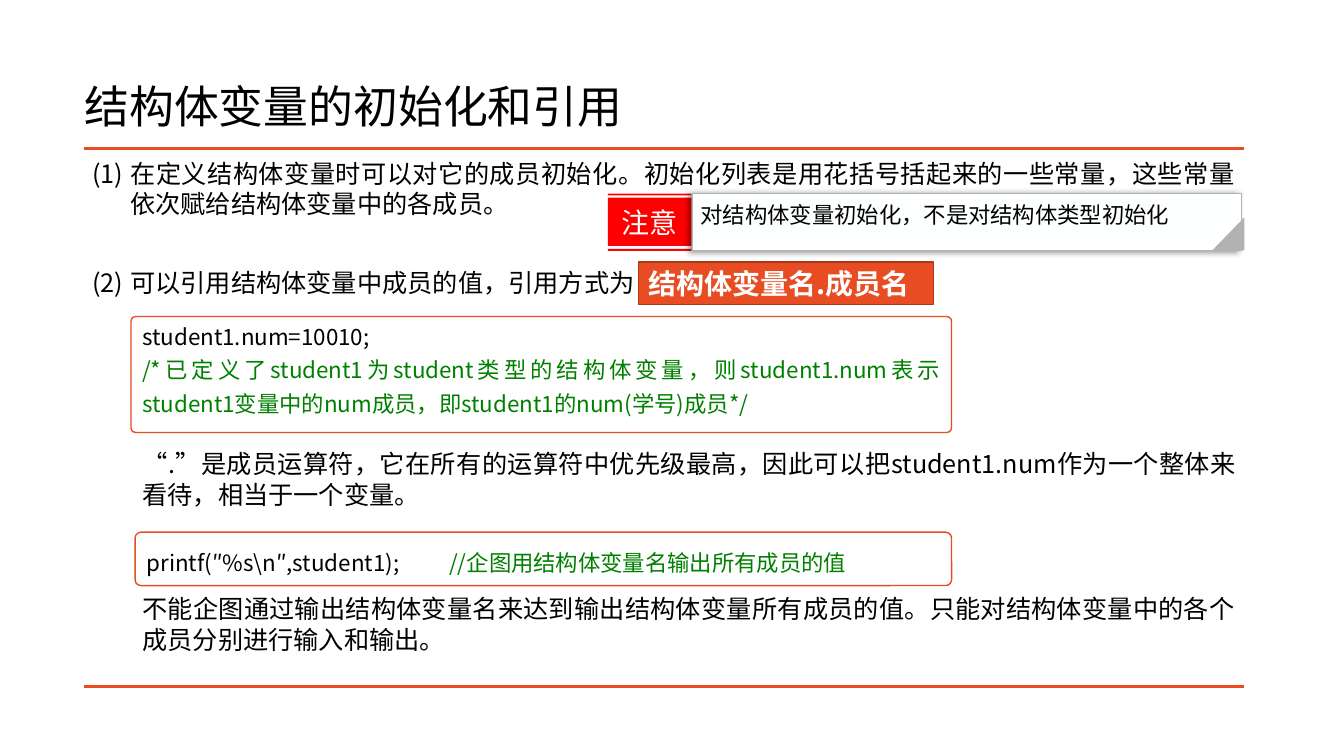
import pptx
import pptx.util
import pptx.dml.color
import pptx.enum.shapes
import pptx.enum.text
import pptx.oxml
import pptx.oxml.ns

FONT = "Noto Sans CJK SC"
BLACK, WHITE, ORANGE, GREEN, GRAY = "000000", "FFFFFF", "E84C22", "008000", "B2B2B2"
SHAPE = pptx.enum.shapes.MSO_SHAPE
ALIGN = pptx.enum.text.PP_ALIGN
ANCHOR = pptx.enum.text.MSO_ANCHOR
NS = pptx.oxml.ns.nsdecls("a")

deck = pptx.Presentation()
deck.slide_width = pptx.util.Inches(13.33)
deck.slide_height = pptx.util.Inches(7.5)
slide = deck.slides.add_slide(deck.slide_layouts[6])
col = deck.slide_width / 80
row = deck.slide_height / 45


def paint(shape, fill, line=None, width=1):
    shape.shadow.inherit = False
    shape.fill.solid()
    shape.fill.fore_color.rgb = pptx.dml.color.RGBColor.from_string(fill)
    if line:
        shape.line.color.rgb = pptx.dml.color.RGBColor.from_string(line)
        shape.line.width = pptx.util.Pt(width)
    else:
        shape.line.fill.background()


def write(shape, text, size=18, color=BLACK, bold=False, align=ALIGN.JUSTIFY, anchor=ANCHOR.TOP,
          inset=(0.1, 0.05), spacing=1, indent=0, hanging=0, number=None, join=None):
    frame = shape.text_frame
    frame.word_wrap = True
    frame.vertical_anchor = anchor
    frame.margin_left = frame.margin_right = pptx.util.Inches(inset[0])
    frame.margin_top = frame.margin_bottom = pptx.util.Inches(inset[1])
    paragraph = join or (frame.add_paragraph() if frame.text else frame.paragraphs[0])
    paragraph.alignment = align
    paragraph.line_spacing = spacing
    layout = paragraph._p.get_or_add_pPr()
    layout.set("marL", str(pptx.util.Inches(indent)))
    layout.set("indent", str(-pptx.util.Inches(hanging)))
    if number:
        layout.append(pptx.oxml.parse_xml(
            f'<a:buFont {NS} typeface="{FONT}"/>'))
        layout.append(pptx.oxml.parse_xml(
            f'<a:buAutoNum {NS} type="arabicParenBoth" startAt="{number}"/>'))
    run = paragraph.add_run()
    run.text = text
    run.font.size = pptx.util.Pt(size)
    run.font.bold = bold
    run.font.color.rgb = pptx.dml.color.RGBColor.from_string(color)
    run.font.name = FONT
    run._r.rPr.append(pptx.oxml.parse_xml(f'<a:ea {NS} typeface="{FONT}"/>'))
    return paragraph


slide.background.fill.solid()
slide.background.fill.fore_color.rgb = pptx.dml.color.RGBColor.from_string(WHITE)

title = slide.shapes.add_textbox(int(4.44 * col), int(2.16 * row), int(69 * col), int(8.7 * row))
write(title, "结构体变量的初始化和引用", size=32, align=ALIGN.LEFT, anchor=ANCHOR.MIDDLE, spacing=0.9)

for rule_row in (8.82, 40.86):
    rule = slide.shapes.add_connector(
        pptx.enum.shapes.MSO_CONNECTOR.STRAIGHT,
        int(5 * col), int(rule_row * row), int(74.04 * col), int(rule_row * row))
    rule.line.color.rgb = pptx.dml.color.RGBColor.from_string(ORANGE)
    rule.line.width = pptx.util.Pt(2)
    rule._element.spPr.append(pptx.oxml.parse_xml(f"<a:effectLst {NS}/>"))

points = [
    (0, 2, 1, "在定义结构体变量时可以对它的成员初始化。初始化列表是用花括号括起来的一些常量，这些常量依次赋给结构体变量中的各成员。"),
    (3, 1, 2, "可以引用结构体变量中成员的值，引用方式为"),
    (8, 2, None, "“.”是成员运算符，它在所有的运算符中优先级最高，因此可以把student1.num作为一个整体来看待，相当于一个变量。"),
    (12, 2, None, "不能企图通过输出结构体变量名来达到输出结构体变量所有成员的值。只能对结构体变量中的各个成员分别进行输入和输出。"),
]
for line, lines, number, text in points:
    point = slide.shapes.add_textbox(
        int(5 * col), int((8.94 + 2.16 * line) * row), int(69.04 * col), int((2.16 * lines + 0.96) * row))
    write(point, text, inset=(0.08, 0.08), number=number,
          indent=0.38 if number else 0.5, hanging=0.38 if number else 0)

formula = slide.shapes.add_shape(
    SHAPE.RECTANGLE, int(38 * col), int(15.6 * row), int(17.58 * col), int(2.52 * row))
paint(formula, ORANGE, "AC3819")
write(formula, "结构体变量名.成员名", size=20, color=WHITE, bold=True, anchor=ANCHOR.MIDDLE, inset=(0.1, 0))

code_boxes = []
for left, top, width, height, corner in ((7.8, 18.84, 48.84, 6.9, 0.04), (8.04, 31.68, 48.6, 3.18, 0.11)):
    code = slide.shapes.add_shape(
        SHAPE.ROUNDED_RECTANGLE, int(left * col), int(top * row), int(width * col), int(height * row))
    code.adjustments[0] = corner
    paint(code, WHITE, ORANGE)
    code_boxes.append(code)
member_code, printf_code = code_boxes
write(member_code, "student1.num=10010;", size=16)
write(member_code, "/*已定义了student1为student类型的结构体变量，则student1.num表示student1变量中的num成员，即student1的num(学号)成员*/",
      size=16, color=GREEN, spacing=1.25)
printf_line = write(printf_code, "printf(″%s\\n″,student1);\t", size=16, spacing=1.4)
write(printf_code, "//企图用结构体变量名输出所有成员的值", size=16, color=GREEN, spacing=1.4, join=printf_line)

band_left, band_right = 36.18 * col, 41.16 * col
outline = slide.shapes.build_freeform(int(band_left), int(11.52 * row))
for top, bottom in ((11.52, 11.64), (11.76, 14.64), (14.82, 14.94)):
    outline.move_to(int(band_left), int(top * row))
    outline.add_line_segments([
        (int(band_right), int(top * row)),
        (int(band_right), int(bottom * row)),
        (int(band_left), int(bottom * row))], close=True)
caution = outline.convert_to_shape()
paint(caution, "FF0000")
write(caution, "注意", size=20, color="FEFFFF", align=ALIGN.CENTER, anchor=ANCHOR.MIDDLE)

note = slide.shapes.add_shape(
    SHAPE.RECTANGLE, int(41.22 * col), int(11.52 * row), int(32.7 * col), int(3.42 * row))
paint(note, "FEFFFF", GRAY, 0.75)
note._element.spPr.find(pptx.oxml.ns.qn("a:effectLst")).append(pptx.oxml.parse_xml(
    f'<a:outerShdw {NS} blurRad="50800" dist="38100" dir="10800000" algn="r" rotWithShape="0">'
    '<a:srgbClr val="000000"><a:alpha val="40000"/></a:srgbClr></a:outerShdw>'))
write(note, "对结构体变量初始化，不是对结构体类型初始化", size=16, inset=(0.08, 0.08))

fold = slide.shapes.add_shape(
    SHAPE.RIGHT_TRIANGLE, int(72.12 * col), int(12.96 * row), int(1.98 * col), int(1.92 * row))
fold.rotation = 270
paint(fold, GRAY)

deck.save("out.pptx")
